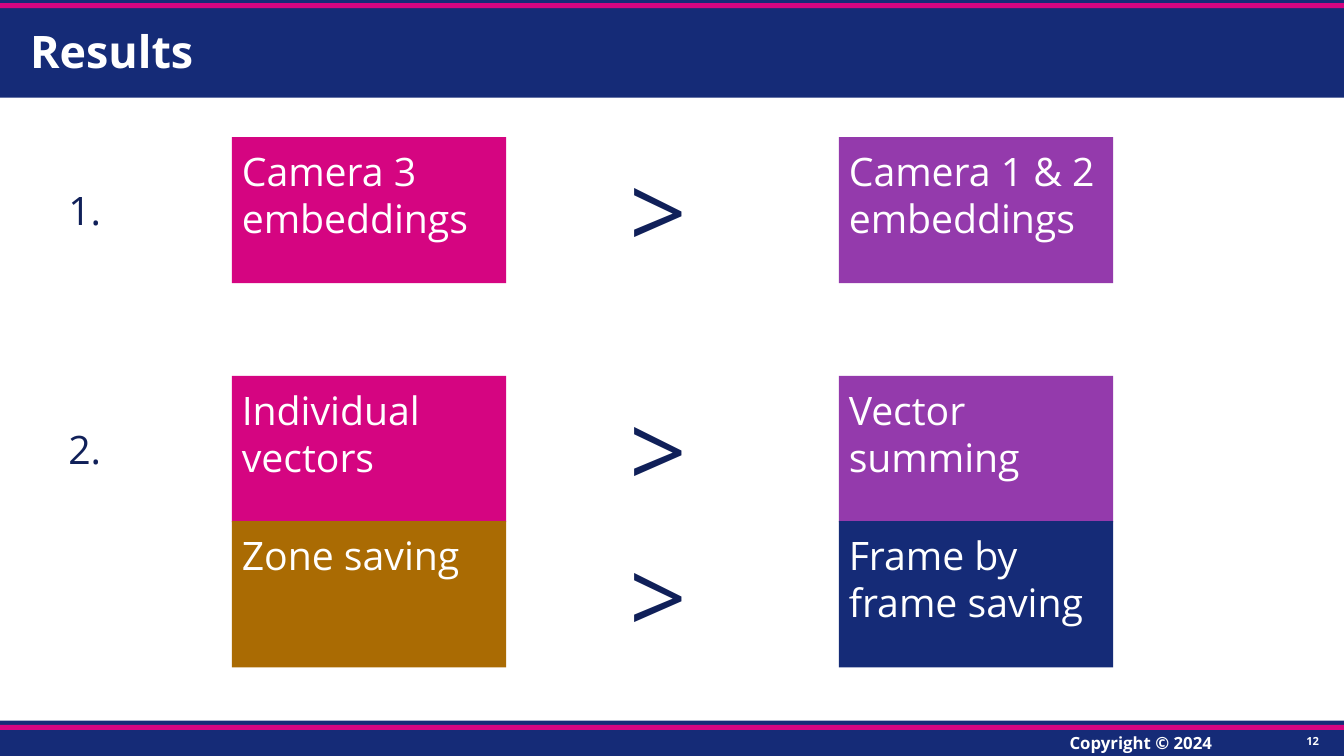
"""Build the Results slide comparing embedding and saving strategies."""
import dataclasses

import pptx
import pptx.dml.color
import pptx.enum.shapes
import pptx.enum.text
import pptx.util

Inches = pptx.util.Inches
Align = pptx.enum.text.PP_ALIGN
Anchor = pptx.enum.text.MSO_ANCHOR


@dataclasses.dataclass(frozen=True)
class Theme:
    navy: str = "152B77"
    ink: str = "102059"
    pink: str = "D50581"
    purple: str = "943AAC"
    ochre: str = "AA6B03"
    white: str = "FFFFFF"
    body_font: str = "Open Sans"
    title_font: str = "Noto Sans"
    title_size: int = 32
    body_size: int = 28
    sign_size: int = 72
    footer_size: int = 12
    number_size: int = 8


theme = Theme()
deck = pptx.Presentation()
deck.slide_width, deck.slide_height = Inches(13.33), Inches(7.5)
slide = deck.slides.add_slide(deck.slide_layouts[6])


def add_block(left, top, width, height, color):
    """Add a plain filled rectangle."""
    block = slide.shapes.add_shape(
        pptx.enum.shapes.MSO_SHAPE.RECTANGLE,
        Inches(left), Inches(top), Inches(width), Inches(height))
    block.shadow.inherit = False
    block.fill.solid()
    block.fill.fore_color.rgb = pptx.dml.color.RGBColor.from_string(color)
    block.line.fill.background()
    return block


def write(text, left, top, width, height, *, size=theme.body_size, color=theme.white,
          fill=None, font=theme.body_font, bold=False, align=Align.LEFT,
          anchor=Anchor.TOP, margin=0.1, spacing=None):
    """Write text in a filled block or in a clear text box."""
    if fill:
        holder = add_block(left, top, width, height, fill)
    else:
        holder = slide.shapes.add_textbox(
            Inches(left), Inches(top), Inches(width), Inches(height))
    frame = holder.text_frame
    frame.word_wrap = True
    frame.vertical_anchor = anchor
    frame.margin_left = frame.margin_right = Inches(0.1)
    frame.margin_top = frame.margin_bottom = Inches(margin)
    paragraph = frame.paragraphs[0]
    paragraph.alignment = align
    paragraph.line_spacing = spacing
    run = paragraph.add_run()
    run.text = text
    run.font.name = font
    run.font.size = pptx.util.Pt(size)
    run.font.bold = bold
    run.font.color.rgb = pptx.dml.color.RGBColor.from_string(color)


for band_top, band_height, stripe_top in [(7.15, 0.35, 7.19), (0, 0.97, 0.03)]:
    add_block(0, band_top, 13.33, band_height, theme.navy)
    add_block(0, stripe_top, 13.33, 0.05, theme.pink)

write("Copyright © 2024", 10.51, 7.22, 1.7, 0.3,
      size=theme.footer_size, bold=True, margin=0.05)
write("Results", 0.2, 0.21, 12.93, 0.66, size=theme.title_size, font=theme.title_font,
      bold=True, anchor=Anchor.MIDDLE, margin=0.05, spacing=0.9)
write("12", 12.82, 7.28, 0.4, 0.14, size=theme.number_size, bold=True,
      align=Align.CENTER, anchor=Anchor.MIDDLE, margin=0.05)

comparisons = [
    (1.36, "1.", "Camera 3 embeddings", theme.pink, "Camera 1 & 2 embeddings", theme.purple),
    (3.73, "2.", "Individual vectors", theme.pink, "Vector summing", theme.purple),
    (5.17, None, "Zone saving", theme.ochre, "Frame by frame saving", theme.navy),
]
for top, number, better, better_color, worse, worse_color in comparisons:
    write(better, 2.3, top, 2.72, 1.45, fill=better_color)
    write(worse, 8.32, top, 2.72, 1.45, fill=worse_color)
    write(">", 6.15, top + 0.02, 1.03, 1.41, size=theme.sign_size, color=theme.ink)
    if number:
        write(number, 0.58, top + 0.39, 0.6, 0.67, color=theme.ink)

deck.save("out.pptx")
